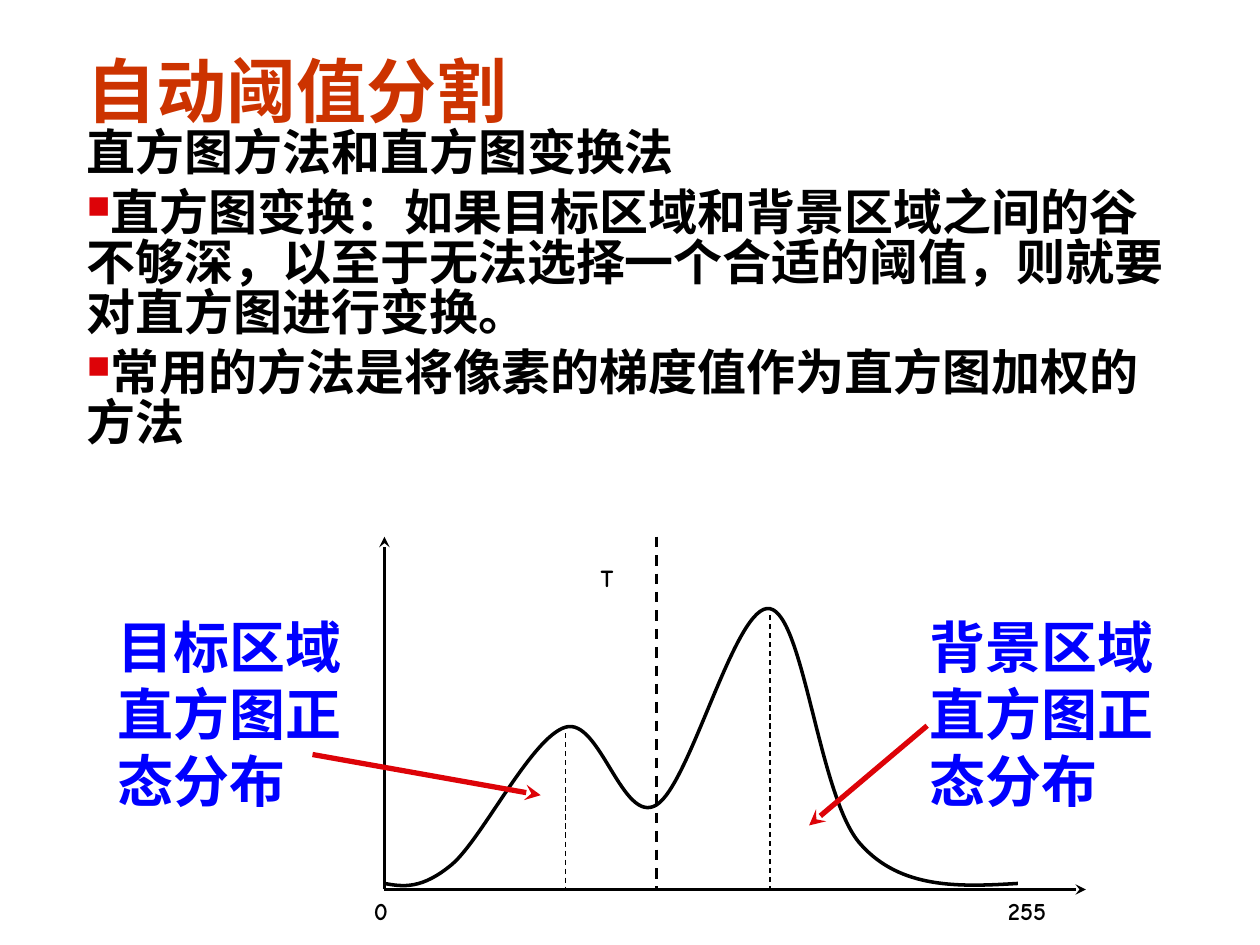
from lxml.etree import SubElement
from pptx import Presentation
from pptx.dml.color import RGBColor
from pptx.enum.dml import MSO_LINE
from pptx.enum.shapes import MSO_CONNECTOR
from pptx.enum.text import MSO_ANCHOR, PP_ALIGN
from pptx.oxml.ns import qn
from pptx.util import Cm, Pt

COLORS = {"title": "CC3300", "ink": "000000", "accent": "DD0308", "region": "0000FF"}
CJK_FONT = "Noto Sans CJK SC"
LATIN_FONT = "Comic Neue"

BODY = [
    ("直方图方法和直方图变换法", CJK_FONT),
    ("直方图变换：如果目标区域和背景区域之间的谷不够深，以至于无法选择一个合适的阈值，"
     "则就要对直方图进行变换。", LATIN_FONT),
    ("常用的方法是将像素的梯度值作为直方图加权的方法", CJK_FONT),
]

# Diagram positions in centimetres
ORIGIN_X, BASE_Y = 7.75, 17.93
AXIS_END_X, AXIS_TOP_Y = 21.89, 10.82
TARGET_PEAK_X, THRESHOLD_X, BACKGROUND_PEAK_X = 11.4, 13.23, 15.52

# Start point, then two control points and an end point per Bézier segment
HISTOGRAM = [
    (ORIGIN_X, 17.81),
    (8.13, 17.88), (8.51, 17.93), (9.12, 17.42),
    (9.73, 16.89), (10.72, 14.86), (TARGET_PEAK_X, 14.66),
    (12.09, 14.45), (12.55, 16.64), (THRESHOLD_X, 16.23),
    (13.92, 15.82), (14.83, 12.14), (BACKGROUND_PEAK_X, 12.27),
    (16.21, 12.4), (16.51, 16.1), (17.35, 17.02),
    (18.16, 17.93), (19.35, 17.88), (20.52, 17.81),
]


def rgb(name):
    return RGBColor.from_string(COLORS[name])


def style_runs(paragraph, size, color, font_name):
    for run in paragraph.runs:
        font = run.font
        font.size, font.bold, font.name = Pt(size), True, font_name
        font.color.rgb = rgb(color)
        SubElement(run._r.get_or_add_rPr(), qn("a:ea"), typeface=CJK_FONT)


def add_text(slide, box, text, size, color, font_name, align=PP_ALIGN.LEFT,
             anchor=MSO_ANCHOR.TOP):
    frame = slide.shapes.add_textbox(*map(Cm, box)).text_frame
    frame.word_wrap = True
    frame.vertical_anchor = anchor
    paragraph = frame.paragraphs[0]
    paragraph.text = text
    paragraph.alignment = align
    style_runs(paragraph, size, color, font_name)


def add_bullet(paragraph):
    """Give the paragraph a small red square that the text follows directly."""
    properties = paragraph._p.get_or_add_pPr()
    properties.set("marL", "0")
    properties.set("indent", "0")
    bullet_color = SubElement(properties, qn("a:buClr"))
    SubElement(bullet_color, qn("a:srgbClr"), val=COLORS["accent"])
    SubElement(properties, qn("a:buSzPct"), val="65000")
    SubElement(properties, qn("a:buChar"), char="■")


def add_body(slide):
    frame = slide.shapes.add_textbox(Cm(1.5), Cm(2.51), Cm(22.4), Cm(12.12)).text_frame
    frame.word_wrap = True
    for index, (text, font_name) in enumerate(BODY):
        paragraph = frame.add_paragraph() if index else frame.paragraphs[0]
        paragraph.text = text
        paragraph.line_spacing = 0.85
        if index:
            paragraph.space_before = Pt(5.6)
            add_bullet(paragraph)
        style_runs(paragraph, 28, "ink", font_name)


def add_line(slide, start, end, width, color="ink", dashed=False, arrow=False):
    line = slide.shapes.add_connector(
        MSO_CONNECTOR.STRAIGHT, *map(Cm, (*start, *end)))
    line.line.color.rgb = rgb(color)
    line.line.width = Pt(width)
    if dashed:
        line.line.dash_style = MSO_LINE.DASH
    if arrow:
        SubElement(line.line._get_or_add_ln(), qn("a:tailEnd"), type="stealth")
    SubElement(line._element.spPr, qn("a:effectLst"))


def add_curve(slide, points, width):
    """Draw a freeform through the points, three to each cubic segment."""
    start, *rest = [(Cm(x), Cm(y)) for x, y in points]
    builder = slide.shapes.build_freeform(*start)
    builder.add_line_segments(rest, close=False)
    curve = builder.convert_to_shape()
    curve.shadow.inherit = False
    curve.fill.background()
    curve.line.color.rgb = rgb("ink")
    curve.line.width = Pt(width)

    path = next(curve._element.iter(qn("a:path")))
    steps = path.findall(qn("a:lnTo"))
    for first in range(0, len(steps), 3):
        segment = SubElement(path, qn("a:cubicBezTo"))
        for step in steps[first:first + 3]:
            segment.append(step[0])
            path.remove(step)


def add_histogram(slide):
    origin = (ORIGIN_X, BASE_Y)
    for axis_end in ((AXIS_END_X, BASE_Y), (ORIGIN_X, AXIS_TOP_Y)):
        add_line(slide, origin, axis_end, 2, arrow=True)
    add_curve(slide, HISTOGRAM, 2)
    for x, top, width in ((TARGET_PEAK_X, 14.78, 0.75),
                          (BACKGROUND_PEAK_X, 12.4, 0.75),
                          (THRESHOLD_X, AXIS_TOP_Y, 1.5)):
        add_line(slide, (x, top), (x, BASE_Y), width, dashed=True)
    for label, left, top in (("T", 11.86, 11.23), ("0", 7.29, BASE_Y),
                             ("255", 20.07, BASE_Y)):
        add_text(slide, (left, top, 1.83, 1.57), label, 14, "ink", LATIN_FONT,
                 align=PP_ALIGN.JUSTIFY)


def add_region(slide, text, left, arrow_start, arrow_end):
    add_line(slide, arrow_start, arrow_end, 3, "accent", arrow=True)
    add_text(slide, (left, 12.22, 5.38, 4.32), text, 32, "region", LATIN_FONT)


def main():
    presentation = Presentation()
    presentation.slide_width, presentation.slide_height = Cm(25.4), Cm(19.05)
    slide = presentation.slides.add_slide(presentation.slide_layouts[6])
    add_text(slide, (1.5, 0.91, 22, 1.8), "自动阈值分割", 40, "title", CJK_FONT,
             anchor=MSO_ANCHOR.MIDDLE)
    add_body(slide)
    add_histogram(slide)
    add_region(slide, "目标区域直方图正态分布", 2.11, (6.3, 15.21), (10.9, 16.03))
    add_region(slide, "背景区域直方图正态分布", 18.49, (18.69, 14.63), (16.31, 16.64))
    presentation.save("out.pptx")


if __name__ == "__main__":
    main()
